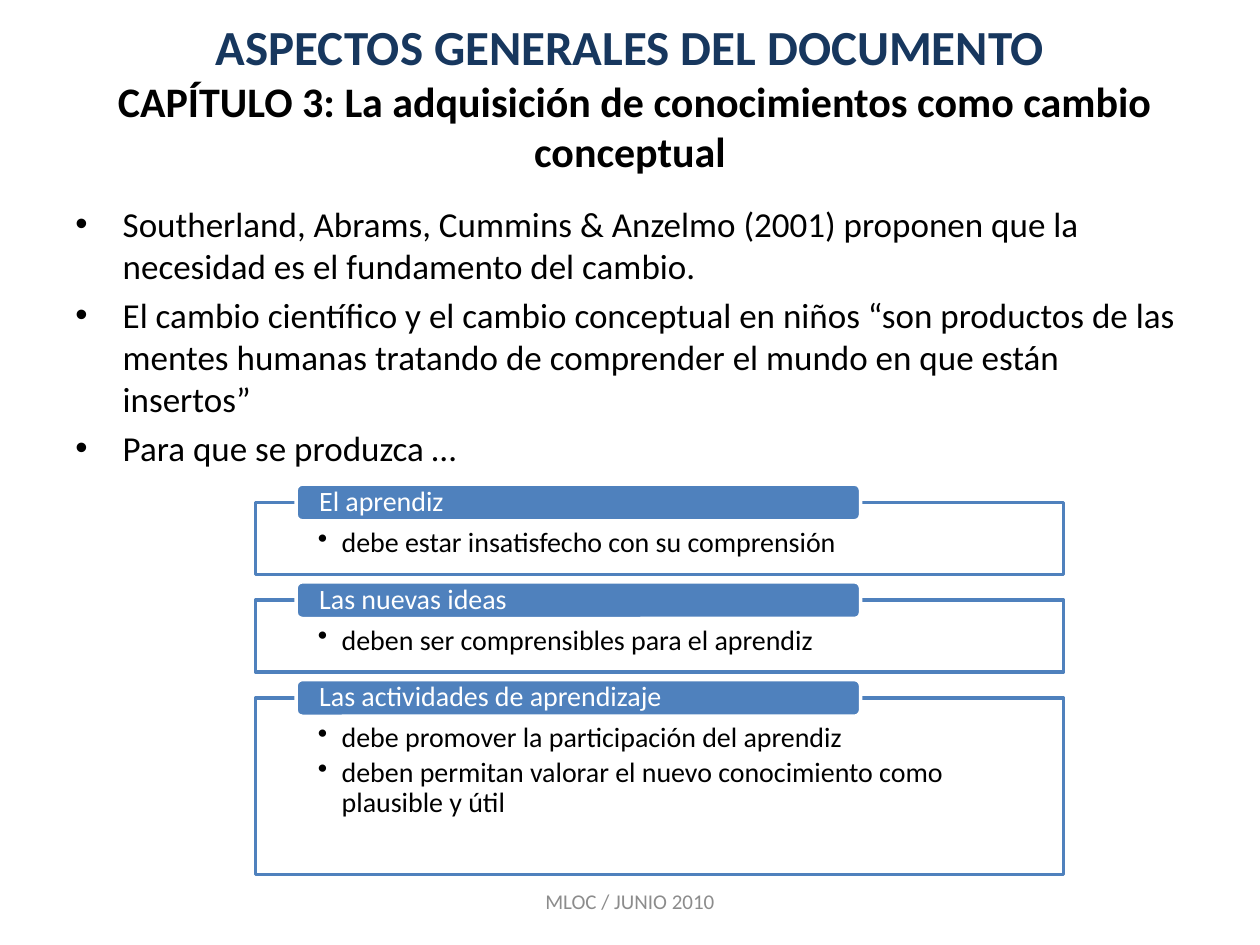
"""Build the slide on learning as conceptual change."""
from lxml import etree
from pptx import Presentation
from pptx.dml.color import RGBColor
from pptx.enum.shapes import MSO_SHAPE
from pptx.enum.text import MSO_ANCHOR, MSO_AUTO_SIZE, PP_ALIGN
from pptx.oxml.ns import qn
from pptx.util import Cm, Pt

RECTANGLE, ROUNDED = MSO_SHAPE.RECTANGLE, MSO_SHAPE.ROUNDED_RECTANGLE
TOP, MIDDLE = MSO_ANCHOR.TOP, MSO_ANCHOR.MIDDLE
LEFT, CENTER = PP_ALIGN.LEFT, PP_ALIGN.CENTER
NO_AUTOFIT = MSO_AUTO_SIZE.NONE
COLORS = {"navy": "17375E", "blue": "4F81BD", "black": "000000",
          "white": "FFFFFF", "gray": "8C8C8C"}

POINTS = [
    "Southerland, Abrams, Cummins & Anzelmo (2001) proponen que la necesidad es el fundamento del cambio.",
    "El cambio científico y el cambio conceptual en niños “son productos de las mentes humanas "
    "tratando de comprender el mundo en que están insertos”",
    "Para que se produzca …",
]
CONDITIONS = [
    ("El aprendiz", 1.45, ["debe estar insatisfecho con su comprensión"]),
    ("Las nuevas ideas", 1.45, ["deben ser comprensibles para el aprendiz"]),
    ("Las actividades de aprendizaje", 3.56,
     ["debe promover la participación del aprendiz",
      "deben permitan valorar el nuevo conocimiento como plausible y útil"]),
]


def write(para, text, size=16, color="black", bold=False, align=LEFT, line_spacing=None):
    """Add a formatted span to a paragraph."""
    para.alignment = align
    if line_spacing:
        para.line_spacing = line_spacing
    span = para.add_run()
    span.text = text
    span.font.name = "Calibri"
    span.font.size = Pt(size)
    span.font.bold = bold
    span.font.color.rgb = RGBColor.from_string(COLORS[color])


def frame_text(shape, insets, anchor):
    """Set wrapping, insets in centimetres and anchor; return the text frame."""
    frame = shape.text_frame
    frame.word_wrap = True
    frame.auto_size = NO_AUTOFIT
    frame.vertical_anchor = anchor
    frame.margin_left, frame.margin_top, frame.margin_right, frame.margin_bottom = map(Cm, insets)
    return frame


deck = Presentation()
deck.slide_width, deck.slide_height = Cm(25.4), Cm(19.05)
page = deck.slides.add_slide(deck.slide_layouts[1])

title, body = page.shapes.title, page.placeholders[1]
title.left, title.top, title.width, title.height = Cm(1.27), Cm(0.3), Cm(22.86), Cm(4.06)
para = frame_text(title, (0.25, 0, 0.25, 0.78), MIDDLE).paragraphs[0]
write(para, "ASPECTOS GENERALES DEL DOCUMENTO", size=28, color="navy", bold=True, align=CENTER)
para.add_line_break()
write(para, " CAPÍTULO 3: La adquisición de conocimientos como cambio conceptual",
      size=24, bold=True, align=CENTER)

body.left, body.top, body.width, body.height = Cm(1.27), Cm(3.96), Cm(22.86), Cm(11.91)
frame = frame_text(body, (0.25, 0.13, 0.25, 0.13), TOP)
for index, point in enumerate(POINTS):
    para = frame.add_paragraph() if index else frame.paragraphs[0]
    write(para, point, size=20)

footer = page.shapes.add_textbox(Cm(8.68), Cm(17.66), Cm(8.04), Cm(1.01))
para = frame_text(footer, (0.25, 0.13, 0.25, 0.13), MIDDLE).paragraphs[0]
write(para, "MLOC / JUNIO 2010", size=12, color="gray", align=CENTER)

group = page.shapes.add_group_shape()
top, gap = 10.13, 0.52
for heading, height, details in CONDITIONS:
    box = group.shapes.add_shape(RECTANGLE, Cm(5.15), Cm(top), Cm(16.29), Cm(height))
    tab = group.shapes.add_shape(ROUNDED, Cm(5.97), Cm(top - 0.37), Cm(11.38), Cm(0.74))
    for shape, fill, line in ((box, "white", "blue"), (tab, "blue", "white")):
        shape.shadow.inherit = False
        shape.fill.solid()
        shape.fill.fore_color.rgb = RGBColor.from_string(COLORS[fill])
        shape.line.color.rgb = RGBColor.from_string(COLORS[line])
        shape.line.width = Pt(2)
    fill_color = box.fill._xPr.find(qn("a:solidFill"))[0]
    etree.SubElement(fill_color, qn("a:alpha"), val="90000")

    frame = frame_text(box, (1.26, 0.52, 1.26, 0.3), TOP)
    for index, detail in enumerate(details):
        para = frame.add_paragraph() if index else frame.paragraphs[0]
        write(para, detail, line_spacing=0.9)
        para.level = 1
        para.space_after = Pt(2.4)
        properties = para._p.get_or_add_pPr()
        properties.set("marL", str(Cm(0.48)))
        properties.set("indent", str(-Cm(0.48)))
        etree.SubElement(properties, qn("a:buChar"), char="•")

    para = frame_text(tab, (0.43, 0, 0.43, 0), MIDDLE).paragraphs[0]
    write(para, heading, color="white", line_spacing=0.9)
    top += height + gap

deck.save("out.pptx")
